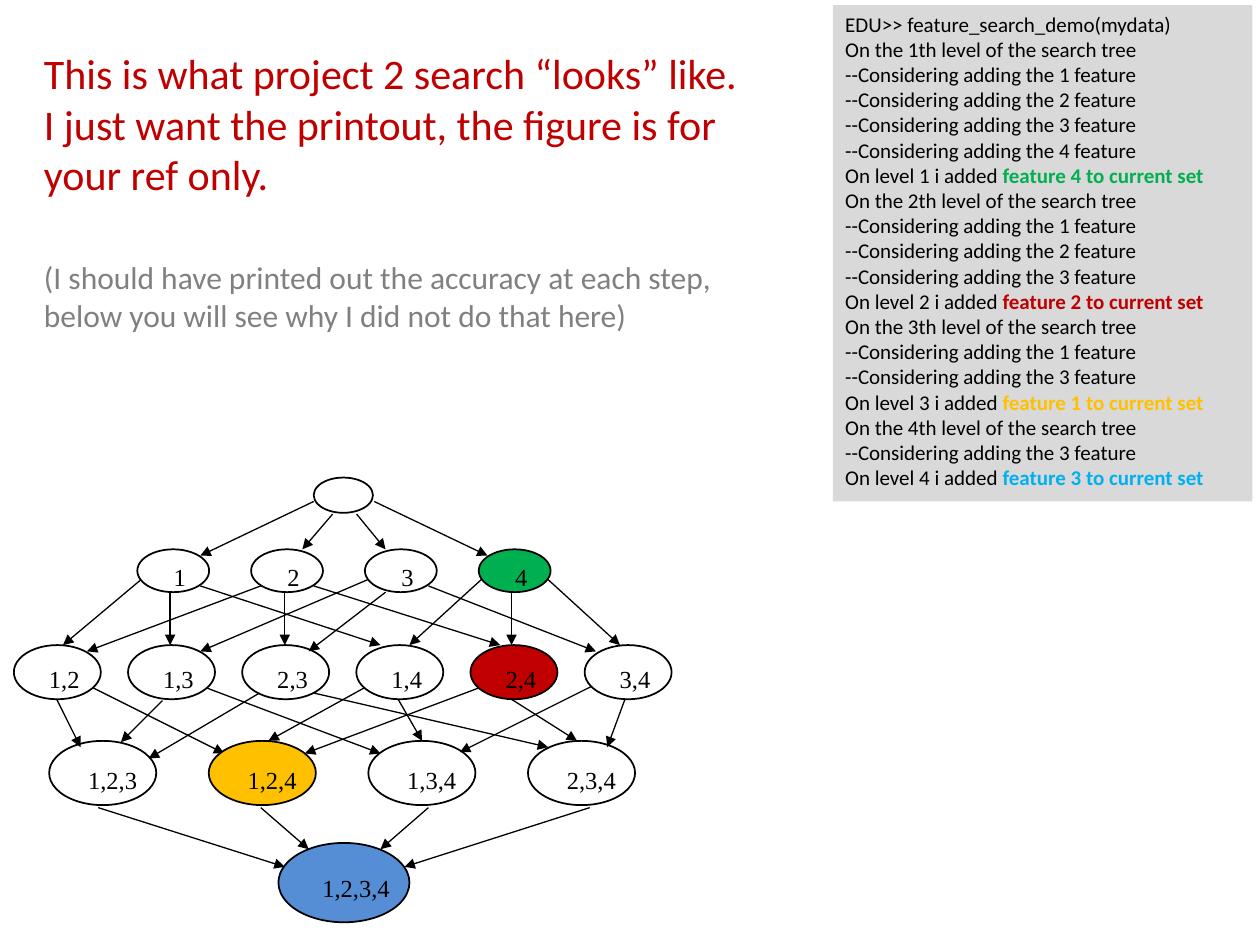
from lxml import etree
from pptx import Presentation
from pptx import util as u
from pptx.dml.color import RGBColor
from pptx.enum import shapes, text
from pptx.oxml import ns

COLUMNS, ROWS = 1000, 750
WIDTH, HEIGHT = u.Inches(10), u.Inches(7.5)
BLACK, GREEN, RED, AMBER = "000000", "00B050", "C00000", "FFC000"

SEARCH_STEPS = [
    ([1, 2, 3, 4], 4, GREEN),
    ([1, 2, 3], 2, RED),
    ([1, 3], 1, AMBER),
    ([3], 3, "00B0F0"),
]

TREE_LEVELS = [
    dict(sets=[""], left=249, top=379, pitch=0, size=(47, 28)),
    dict(sets=["1", "2", "3", "4"], left=109, top=436, pitch=90.33,
         size=(57, 34), label=(19, 5, 30)),
    dict(sets=["1,2", "1,3", "2,3", "1,4", "2,4", "3,4"], left=11, top=512,
         pitch=90.6, size=(69, 43), label=(18, 10, 45)),
    dict(sets=["1,2,3", "1,2,4", "1,3,4", "2,3,4"], left=39, top=588,
         pitch=126.67, size=(85, 51), label=(21, 14, 59)),
    dict(sets=["1,2,3,4"], left=221, top=669, pitch=0,
         size=(104, 63), label=(25, 19, 74)),
]
CHOSEN_SETS = {"4": GREEN, "2,4": RED, "1,2,4": AMBER, "1,2,3,4": "558ED5"}

BRANCHES = [
    (249, 398, 159, 441), (264, 408, 240, 436),
    (283, 408, 306, 436), (297, 398, 387, 441),

    (112, 460, 50, 512), (135, 470, 135, 512), (159, 465, 302, 512),
    (207, 465, 69, 517), (226, 470, 226, 512), (249, 465, 397, 512),
    (292, 460, 159, 517), (306, 470, 245, 517), (340, 465, 473, 517),
    (382, 460, 325, 512), (406, 470, 406, 512), (435, 460, 492, 512),

    (45, 555, 64, 593), (74, 546, 178, 598), (129, 556, 96, 589),
    (164, 546, 302, 598), (206, 550, 118, 602), (249, 550, 435, 593),
    (289, 546, 213, 588), (316, 555, 335, 588), (380, 546, 242, 598),
    (406, 555, 458, 588), (469, 545, 365, 597), (496, 555, 482, 593),

    (78, 641, 226, 688), (207, 641, 245, 674),
    (340, 641, 302, 674), (468, 641, 321, 688),
]


def color(value):
    return RGBColor.from_string(value)


def x(column):
    return round(WIDTH * column / COLUMNS)


def y(row):
    return round(HEIGHT * row / ROWS)


def place(left, top, width, height):
    return x(left), y(top), x(width), y(height)


def apply(target, formats):
    for attribute, value in formats.items():
        setattr(target, attribute, value)


def write(frame, paragraphs, wrap=True):
    apply(frame, dict(word_wrap=wrap, vertical_anchor=text.MSO_ANCHOR.TOP,
                      auto_size=text.MSO_AUTO_SIZE.SHAPE_TO_FIT_TEXT))
    for index, (pieces, spacing) in enumerate(paragraphs):
        paragraph = frame.paragraphs[0] if index == 0 else frame.add_paragraph()
        apply(paragraph, dict(alignment=text.PP_ALIGN.LEFT,
                              space_before=u.Pt(spacing)))
        for words, shade, formats in pieces:
            run = paragraph.add_run()
            run.text = words
            apply(run.font, formats)
            run.font.color.rgb = color(shade)


def add_text(slide, box, paragraphs, wrap=True):
    holder = slide.shapes.add_textbox(*place(*box))
    write(holder.text_frame, paragraphs, wrap)


def add_printout(slide):
    plain = dict(name="Calibri", size=u.Pt(12), bold=False)
    lines = [[("EDU>> feature_search_demo(mydata)", BLACK, plain)]]
    for level, (candidates, chosen, shade) in enumerate(SEARCH_STEPS, 1):
        lines.append([(f"On the {level}th level of the search tree", BLACK, plain)])
        for feature in candidates:
            lines.append([(f"--Considering adding the {feature} feature", BLACK, plain)])
        lines.append([
            (f"On level {level} i added ", BLACK, plain),
            (f"feature {chosen} to current set", shade, plain | dict(bold=True)),
        ])
    panel = slide.shapes.add_shape(shapes.MSO_SHAPE.RECTANGLE,
                                   *place(661, 4, 333, 394))
    panel.shadow.inherit = False
    panel.fill.solid()
    panel.fill.fore_color.rgb = color("D9D9D9")
    panel.line.fill.background()
    write(panel.text_frame, [(line, 0) for line in lines])


def add_remarks(slide):
    main_font = dict(name="Calibri", size=u.Pt(24))
    aside_font = dict(name="Calibri", size=u.Pt(18))
    add_text(slide, (25, 33, 608, 239), [
        ([("This is what project 2 search “looks” like.", RED, main_font)], 0),
        ([("I just want the printout, the figure is for your ref only.",
           RED, main_font)], 0),
        ([("(I should have printed out the accuracy at each step, "
           "below you will see why I did not do that here)",
           "808080", aside_font)], 34),
    ])


def add_branch(slide, start_column, start_row, end_column, end_row):
    branch = slide.shapes.add_connector(
        shapes.MSO_CONNECTOR.STRAIGHT,
        x(start_column), y(start_row), x(end_column), y(end_row))
    branch.line.width = u.Pt(0.75)
    branch.line.color.rgb = color(BLACK)
    outline = branch.line._get_or_add_ln()
    etree.SubElement(outline, ns.qn("a:tailEnd"), type="triangle")
    etree.SubElement(branch._element.spPr, ns.qn("a:effectLst"))


def add_node(slide, box, shade):
    node = slide.shapes.add_shape(shapes.MSO_SHAPE.OVAL, *place(*box))
    node.shadow.inherit = False
    if shade:
        node.fill.solid()
        node.fill.fore_color.rgb = color(shade)
    else:
        node.fill.background()
    node.line.width = u.Pt(1)
    node.line.color.rgb = color(BLACK)


def add_level(slide, level):
    label_font = dict(name="Times New Roman", size=u.Pt(14))
    for index, features in enumerate(level["sets"]):
        left = level["left"] + index * level["pitch"]
        add_node(slide, (left, level["top"], *level["size"]),
                 CHOSEN_SETS.get(features))
        if features:
            indent, drop, width = level["label"]
            add_text(slide, (left + indent, level["top"] + drop, width, 34),
                     [([(features, BLACK, label_font)], 0)], wrap=False)


def main():
    deck = Presentation()
    apply(deck, dict(slide_width=WIDTH, slide_height=HEIGHT))
    slide = deck.slides.add_slide(deck.slide_layouts.get_by_name("Blank"))
    add_printout(slide)
    add_remarks(slide)
    for branch in BRANCHES:
        add_branch(slide, *branch)
    for level in TREE_LEVELS:
        add_level(slide, level)
    deck.save("out.pptx")


if __name__ == "__main__":
    main()
